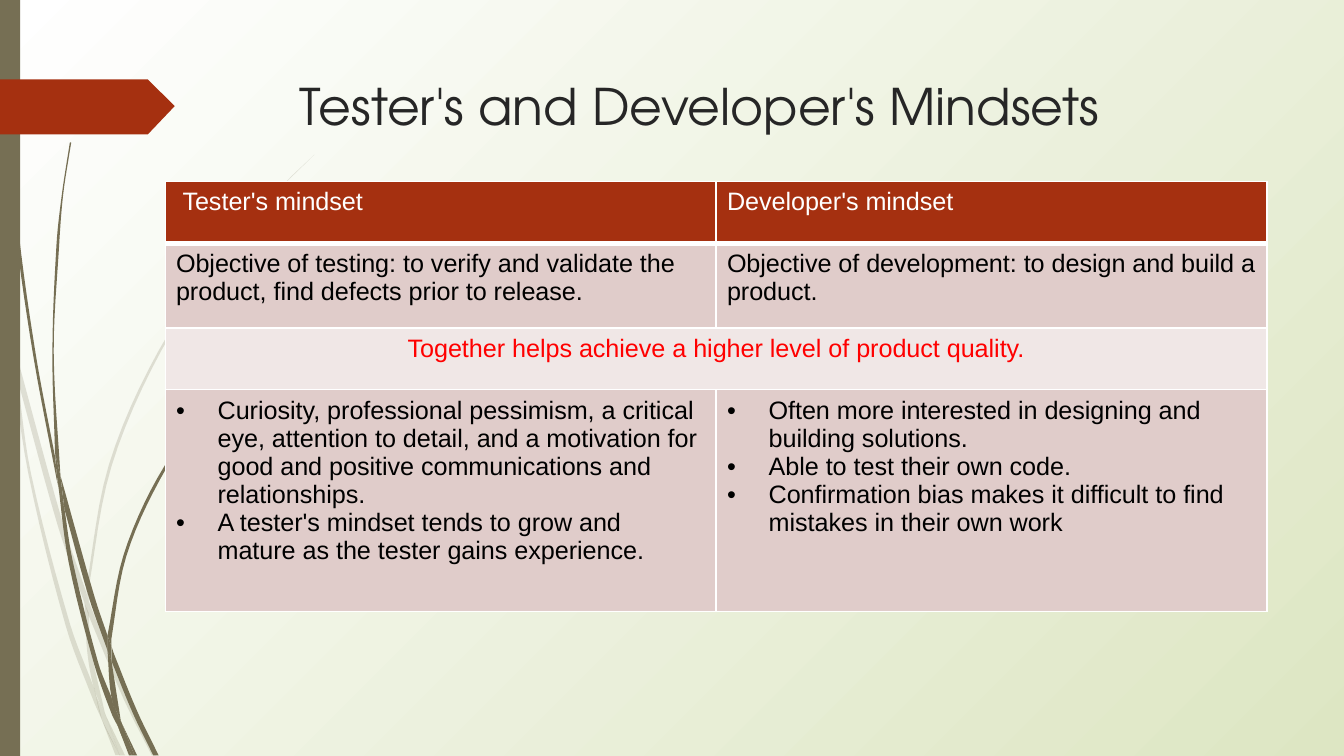
from dataclasses import dataclass
from math import dist

from pptx import Presentation
from pptx.dml.color import RGBColor
from pptx.enum.text import MSO_ANCHOR, PP_ALIGN
from pptx.enum.shapes import MSO_SHAPE
from pptx.oxml.ns import qn
from pptx.slide import Slide
from pptx.util import Inches, Pt
from lxml.etree import SubElement

WIDTH = 10
HEIGHT = WIDTH * 9 / 16

# Each blade of grass has two edges; the outline runs along one and back along the other.
PALE_BLADES = [
    ([(.08, 2.63), (.06, 2.41), (0, 2.11)], [(0, 2.24), (.08, 2.58)]),
    ([(.13, 2.82), (.43, 3.91), (.63, 4.49)], [(.64, 4.4), (.47, 3.9), (.11, 2.59)]),
    ([(.66, 4.58), (.92, 5.2), (1.13, 5.62)],
     [(1.16, 5.62), (.95, 5.19), (.69, 4.55), (.66, 4.47)]),
    ([(.79, 5.33), (.89, 5.62)], [(.93, 5.62)]),
    ([(.08, 2.63), (.21, 3.52), (.49, 4.66), (.69, 5.2), (.76, 5.36)],
     [(.7, 5.12), (.52, 4.64), (.23, 3.52), (.13, 2.82)]),
    ([(.63, 4.49), (.65, 4.85), (.7, 5.12), (.79, 5.33)],
     [(.78, 5.3), (.68, 4.84), (.66, 4.56)]),
    ([(.66, 4.47), (.66, 4.38), (.83, 3.47), (1.2, 2.61), (1.71, 1.84),
      (2.01, 1.48), (2.34, 1.15)],
     [(2.17, 1.31), (2.01, 1.48), (1.71, 1.83), (1.18, 2.61), (.81, 3.46),
      (.64, 4.38)]),
    ([(.76, 5.36), (.86, 5.62)], [(.89, 5.62)]),
    ([(.66, 4.58), (.66, 4.47)], [(.64, 4.4), (.63, 4.49)]),
    ([(.7, 5.12), (.76, 5.36), (.89, 5.62)], [(.79, 5.33), (.72, 5.19)]),
]
DARK_BLADES = [
    ([(.02, 0), (.03, .36), (.05, .82), (.12, 1.75), (.25, 2.66), (.43, 3.61)],
     [(.41, 3.4), (.27, 2.66), (.14, 1.74), (.06, .82), (.03, .36), (.03, 0)]),
    ([(.48, 3.79), (.66, 4.44), (.8, 4.84)], [(.8, 4.73), (.7, 4.43), (.45, 3.54)]),
    ([(.83, 4.92), (.99, 5.31), (1.14, 5.62)],
     [(1.18, 5.62), (1.02, 5.29), (.85, 4.87), (.83, 4.81)]),
    ([(.43, 3.58), (.51, 4.18), (.7, 4.94), (.83, 5.31), (.88, 5.41)],
     [(.83, 5.19), (.73, 4.93), (.54, 4.17), (.48, 3.79)]),
    ([(.45, 3.54), (.4, 2.62), (.44, 1.83), (.47, 1.45), (.53, 1.06)],
     [(.52, 1.06), (.46, 1.45), (.42, 1.83), (.39, 2.62), (.41, 3.37)]),
    ([(.91, 5.39), (1, 5.62)], [(1.02, 5.62)]),
    ([(.41, 3.37), (.43, 3.58), (.48, 3.79)], [(.45, 3.54)]),
    ([(.83, 4.81), (.83, 4.75), (.94, 4.14), (1.19, 3.57), (1.53, 3.05),
      (1.73, 2.81), (1.96, 2.58)],
     [(1.84, 2.69), (1.73, 2.8), (1.53, 3.04), (1.17, 3.56), (.92, 4.13), (.8, 4.73)]),
    ([(.88, 5.41), (.96, 5.62)], [(.98, 5.62)]),
    ([(.8, 4.84), (.83, 5.19), (.91, 5.39)], [(.9, 5.37), (.83, 4.92)]),
    ([(.8, 4.84), (.83, 4.92)], [(.83, 4.81), (.8, 4.73)]),
    ([(.83, 5.19), (.88, 5.41), (.98, 5.62)], [(1, 5.62), (.91, 5.39), (.87, 5.3)]),
]


def rgb(value):
    return RGBColor.from_string(value)


def smooth(edge, steps=6):
    """Return points along a Hermite curve that passes through every point of the edge."""
    slopes = []
    for i in range(len(edge)):
        before, after = edge[max(i - 1, 0)], edge[min(i + 1, len(edge) - 1)]
        length = dist(before, edge[i]) + dist(edge[i], after) or 1
        slopes.append([(b - a) / length for a, b in zip(before, after)])
    points = [edge[0]]
    for i, (start, end) in enumerate(zip(edge, edge[1:])):
        length = dist(start, end)
        for t in (step / steps for step in range(1, steps + 1)):
            blend = t * t * (3 - 2 * t)
            leave, arrive = t * (1 - t) ** 2 * length, t * t * (t - 1) * length
            points.append(tuple(
                (1 - blend) * start[k] + blend * end[k]
                + leave * slopes[i][k] + arrive * slopes[i + 1][k] for k in (0, 1)))
    return points


@dataclass
class MindsetSlide:
    slide: Slide
    olive: str = "766F54"
    rust: str = "A53010"
    band: str = "E0CCCA"
    pale_band: str = "F0E7E6"
    title_font: str = "TeX Gyre Adventor"
    body_font: str = "Arial"

    def background(self, inner, outer):
        """Spread a radial gradient from the top left corner."""
        fill = self.slide.background.fill
        fill.gradient()
        for stop, color, position in zip(fill.gradient_stops, (inner, outer), (0, 1)):
            stop.color.rgb = rgb(color)
            stop.position = position
        gradient = self.slide.background._cSld.find(".//" + qn("a:gradFill"))
        gradient.remove(gradient.find(qn("a:lin")))
        radial = SubElement(gradient, qn("a:path"), path="circle")
        SubElement(radial, qn("a:fillToRect"), r="100000", b="100000")

    def paint(self, shape, color, opacity=100):
        shape.shadow.inherit = False
        shape.fill.solid()
        shape.fill.fore_color.rgb = rgb(color)
        shape.line.fill.background()
        if opacity < 100:
            solid = shape._element.spPr.find(".//" + qn("a:srgbClr"))
            SubElement(solid, qn("a:alpha"), val=str(opacity * 1000))

    def bar(self, left, top, width, height):
        shape = self.slide.shapes.add_shape(
            MSO_SHAPE.RECTANGLE, *map(Inches, (left, top, width, height)))
        self.paint(shape, self.olive)

    def outline(self, points, color, opacity=100):
        start, *others = [(Inches(x), Inches(y)) for x, y in points]
        builder = self.slide.shapes.build_freeform(*start)
        builder.add_line_segments(others, close=True)
        self.paint(builder.convert_to_shape(), color, opacity)

    def grass(self, blades, opacity=100):
        for edge, way_back in blades:
            self.outline(smooth(edge) + smooth(way_back), self.olive, opacity)

    def title(self, text, left, top, width, height):
        frame = self.slide.shapes.add_textbox(
            *map(Inches, (left, top, width, height))).text_frame
        frame.word_wrap = True
        frame.vertical_anchor = MSO_ANCHOR.TOP
        heading = frame.paragraphs[0]
        heading.text = text
        self.style(heading, 27, "262626", self.title_font)

    def style(self, paragraph, size, color, font_name):
        font = paragraph.font
        font.size, font.name, font.bold = Pt(size), font_name, False
        font.color.rgb = rgb(color)

    def table(self, left, top, column_width, row_heights):
        table = self.slide.shapes.add_table(
            len(row_heights), 2, Inches(left), Inches(top),
            Inches(2 * column_width), Inches(sum(row_heights))).table
        table.horz_banding = False
        for column in table.columns:
            column.width = Inches(column_width)
        for row, height in zip(table.rows, row_heights):
            row.height = Inches(height)
        return table

    def cell(self, cell, lines, fill, color="000000", align=PP_ALIGN.LEFT,
             bullets=False, bottom=1):
        cell.margin_left = cell.margin_right = Inches(0.08)
        cell.margin_top = cell.margin_bottom = Inches(0.05)
        cell.text = "\n".join(lines)
        for paragraph in cell.text_frame.paragraphs:
            paragraph.alignment = align
            if bullets:
                properties = paragraph._p.get_or_add_pPr()
                properties.set("marL", str(Inches(0.31)))
                properties.set("indent", str(-Inches(0.31)))
                SubElement(properties, qn("a:buFont"), typeface=self.body_font)
                SubElement(properties, qn("a:buChar"), char="•")
            self.style(paragraph, 13.5, color, self.body_font)
        properties = cell._tc.get_or_add_tcPr()
        for side, width in zip("LRTB", (1, 1, 1, bottom)):
            border = SubElement(properties, qn(f"a:ln{side}"), w=str(Pt(width)))
            SubElement(SubElement(border, qn("a:solidFill")), qn("a:srgbClr"), val="FFFFFF")
        cell.fill.solid()
        cell.fill.fore_color.rgb = rgb(fill)


def main():
    deck = Presentation()
    deck.slide_width, deck.slide_height = Inches(WIDTH), Inches(HEIGHT)
    page = MindsetSlide(deck.slides.add_slide(deck.slide_layouts[6]))

    page.background("FFFFFF", "DDE6C3")
    page.grass(PALE_BLADES, opacity=20)
    page.grass(DARK_BLADES)
    page.bar(0, 0, 0.15, HEIGHT)
    page.outline([(0, .59), (1.1, .59), (1.3, .79), (1.1, 1), (0, 1)], page.rust)
    page.title("Tester's and Developer's Mindsets", 2.13, 0.51, 7.31, 1.05)

    mindsets = page.table(1.23, 1.35, 4.1, [0.46, 0.63, 0.46, 1.65])
    headers = [" Tester's mindset", "Developer's mindset"]
    objectives = [
        "Objective of testing: to verify and validate the product, "
        "find defects prior to release.",
        "Objective of development: to design and build a product.",
    ]
    traits = [
        ["Curiosity, professional pessimism, a critical eye, attention to detail, and a "
         "motivation for good and positive communications and relationships.",
         "A tester's mindset tends to grow and mature as the tester gains experience."],
        ["Often more interested in designing and building solutions.",
         "Able to test their own code.",
         "Confirmation bias makes it difficult to find mistakes in their own work"],
    ]
    for column in (0, 1):
        page.cell(mindsets.cell(0, column), [headers[column]], page.rust, "FFFFFF", bottom=3)
        page.cell(mindsets.cell(1, column), [objectives[column]], page.band)
        page.cell(mindsets.cell(3, column), traits[column], page.band, bullets=True)
    shared_goal = mindsets.cell(2, 0)
    shared_goal.merge(mindsets.cell(2, 1))
    page.cell(shared_goal, ["Together helps achieve a higher level of product quality."],
              page.pale_band, "FF0000", PP_ALIGN.CENTER)

    deck.save("out.pptx")


if __name__ == "__main__":
    main()
